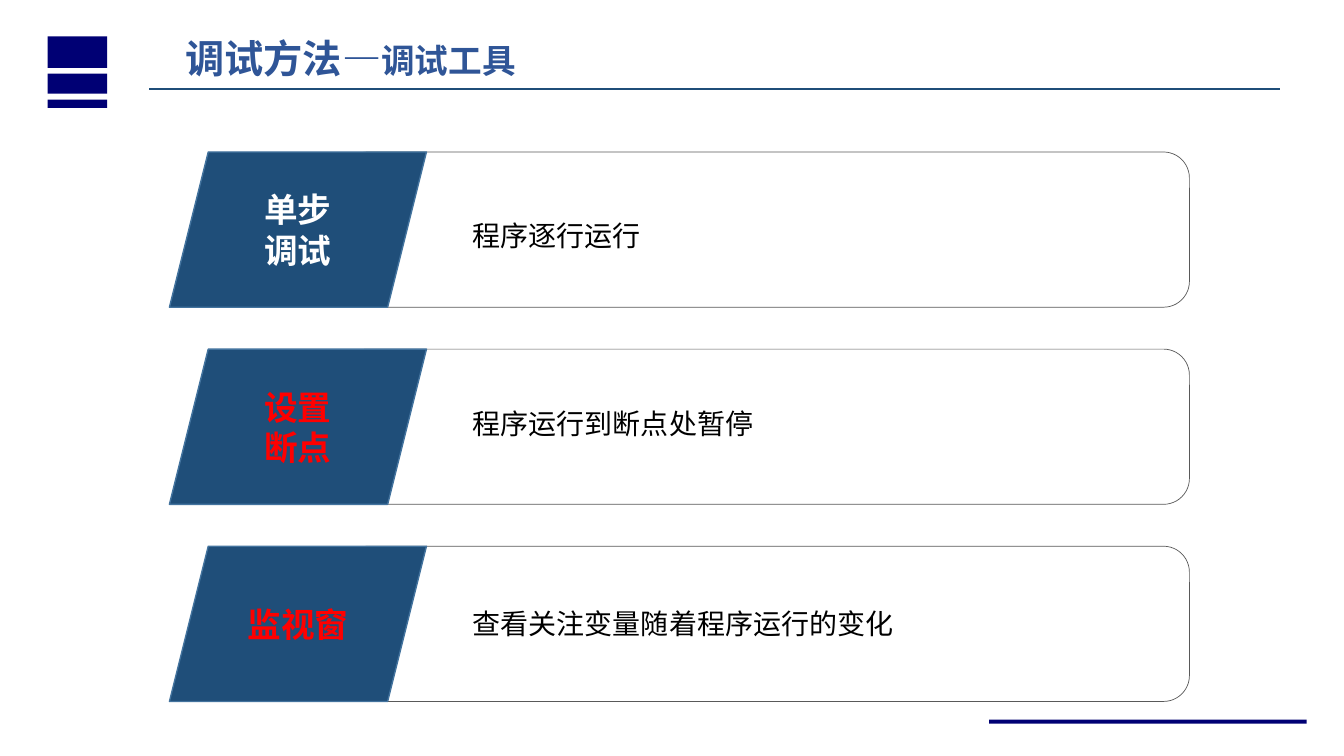
import pptx
import pptx.util
import pptx.dml.color
import pptx.enum.shapes
import pptx.enum.text
import pptx.oxml.ns
import lxml.etree

Pt = pptx.util.Pt
Kind = pptx.enum.shapes.MSO_SHAPE
Align = pptx.enum.text.PP_ALIGN
Anchor = pptx.enum.text.MSO_ANCHOR
qn = pptx.oxml.ns.qn


def color(code):
    return pptx.dml.color.RGBColor.from_string(code)


class Deck:
    """Hold the style and the current slide, and draw its elements in points."""

    font = "Noto Sans CJK SC"
    navy, steel, edge, gray = "000074", "1F4E79", "43739E", "595959"
    blue, red, white, black = "2F5597", "FF0000", "FFFFFF", "000000"

    def __init__(self, wide, high):
        self.show = pptx.Presentation()
        self.show.slide_width, self.show.slide_height = Pt(wide), Pt(high)
        self.slide = self.show.slides.add_slide(self.show.slide_layouts[5])

    def style(self, run, size, code, bold=False):
        run.font.name = self.font
        run.font.size = Pt(size)
        run.font.bold = bold
        run.font.color.rgb = color(code)
        east = lxml.etree.SubElement(run.font._element, qn("a:ea"))
        east.set("typeface", self.font)

    def title(self, box, parts, code):
        head = self.slide.shapes.title
        head.left, head.top, head.width, head.height = map(Pt, box)
        frame = head.text_frame
        frame.vertical_anchor = Anchor.TOP
        frame.auto_size = pptx.enum.text.MSO_AUTO_SIZE.NONE
        para = frame.paragraphs[0]
        para.alignment = Align.LEFT
        for words, size in parts:
            run = para.add_run()
            run.text = words
            self.style(run, size, code, True)

    def shape(self, kind, box, fill=None, line=None, width=1):
        item = self.slide.shapes.add_shape(kind, *map(Pt, box))
        item.shadow.inherit = False
        if fill:
            item.fill.solid()
            item.fill.fore_color.rgb = color(fill)
        else:
            item.fill.background()
        if line:
            item.line.color.rgb = color(line)
            item.line.width = Pt(width)
        else:
            item.line.fill.background()
        return item

    def label(self, box, words, code):
        item = self.shape(Kind.PARALLELOGRAM, box, self.steel, self.edge)
        frame = item.text_frame
        frame.text = words
        frame.vertical_anchor = Anchor.MIDDLE
        for para in frame.paragraphs:
            para.alignment = Align.CENTER
            self.style(para.runs[0], 24, code, True)

    def text(self, box, words, space):
        frame = self.slide.shapes.add_textbox(*map(Pt, box)).text_frame
        frame.word_wrap = True
        frame.margin_left = frame.margin_right = 0
        frame.margin_top = frame.margin_bottom = 0
        frame.text = words
        para = frame.paragraphs[0]
        para.line_spacing = space
        self.style(para.runs[0], 20, self.black)

    def rule(self, left, right, top):
        line = self.slide.shapes.add_connector(
            pptx.enum.shapes.MSO_CONNECTOR.STRAIGHT,
            Pt(left), Pt(top), Pt(right), Pt(top))
        line.line.color.rgb = color(self.steel)
        line.line.width = Pt(1.25)
        lxml.etree.SubElement(line._element.spPr, qn("a:effectLst"))


def main():
    deck = Deck(960, 540)
    bars = [(34, 26, 42.5, 22.5), (34, 52.7, 42.5, 14.3),
            (34, 71.2, 42.5, 5.8), (706.5, 514, 226.8, 2.9)]
    for bar in bars:
        deck.shape(Kind.RECTANGLE, bar, deck.navy)
    deck.title((125.3, 20.9, 409.7, 41),
               [("调试方法—", 28), ("调试工具", 24)], deck.blue)
    rows = [("单步\n调试", deck.white, "程序逐行运行", 35.3, 1.5),
            ("设置\n断点", deck.red, "程序运行到断点处暂停", 41, 1),
            ("监视窗", deck.red, "查看关注变量随着程序运行的变化", 43.2, 1)]
    first, step, high = 108.6, 140.8, 110.9
    for i, (name, code, words, drop, space) in enumerate(rows):
        top = first + i * step
        deck.shape(Kind.ROUNDED_RECTANGLE, (244.1, top, 605.5, high),
                   line=deck.gray, width=0.5)
        deck.text((337.7, top + drop, 476, 24.5 * space), words, space)
        deck.label((121, top, 183.6, high), name, code)
    deck.rule(106.6, 914.4, 63.4)
    deck.show.save("out.pptx")


if __name__ == "__main__":
    main()
